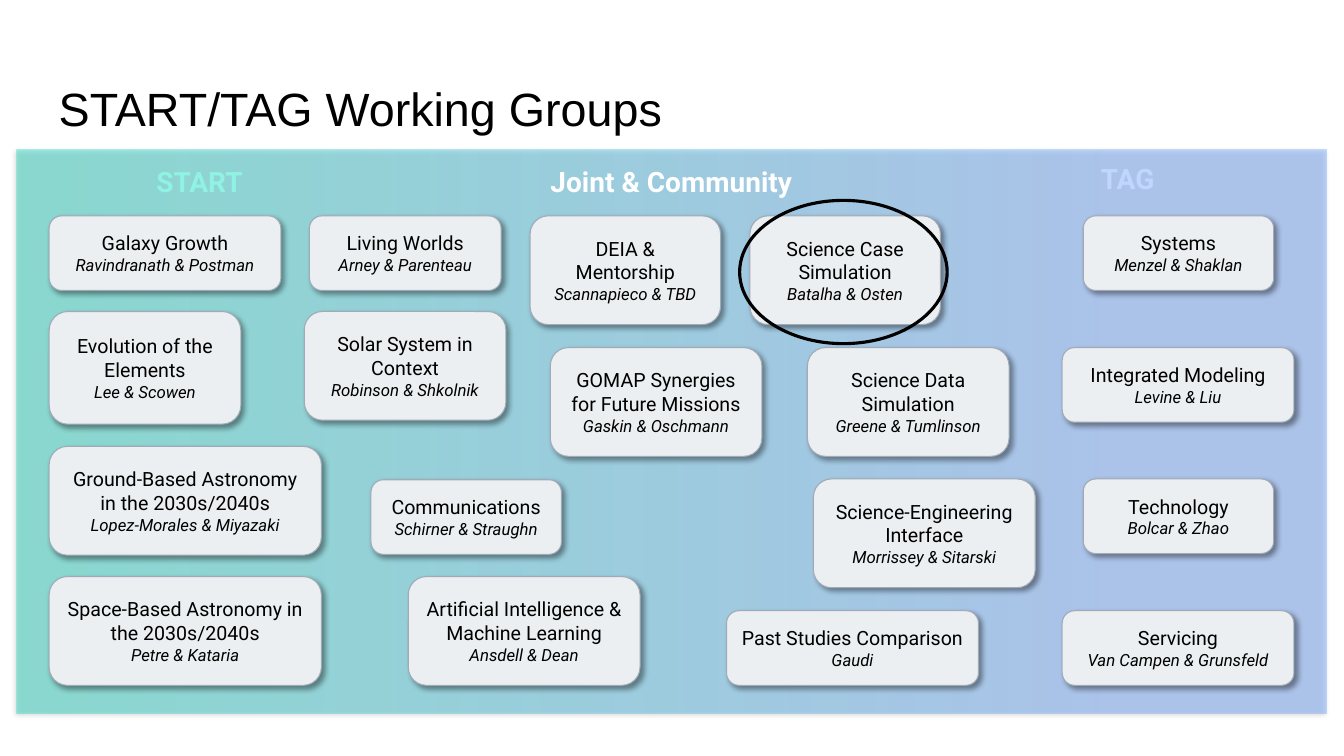
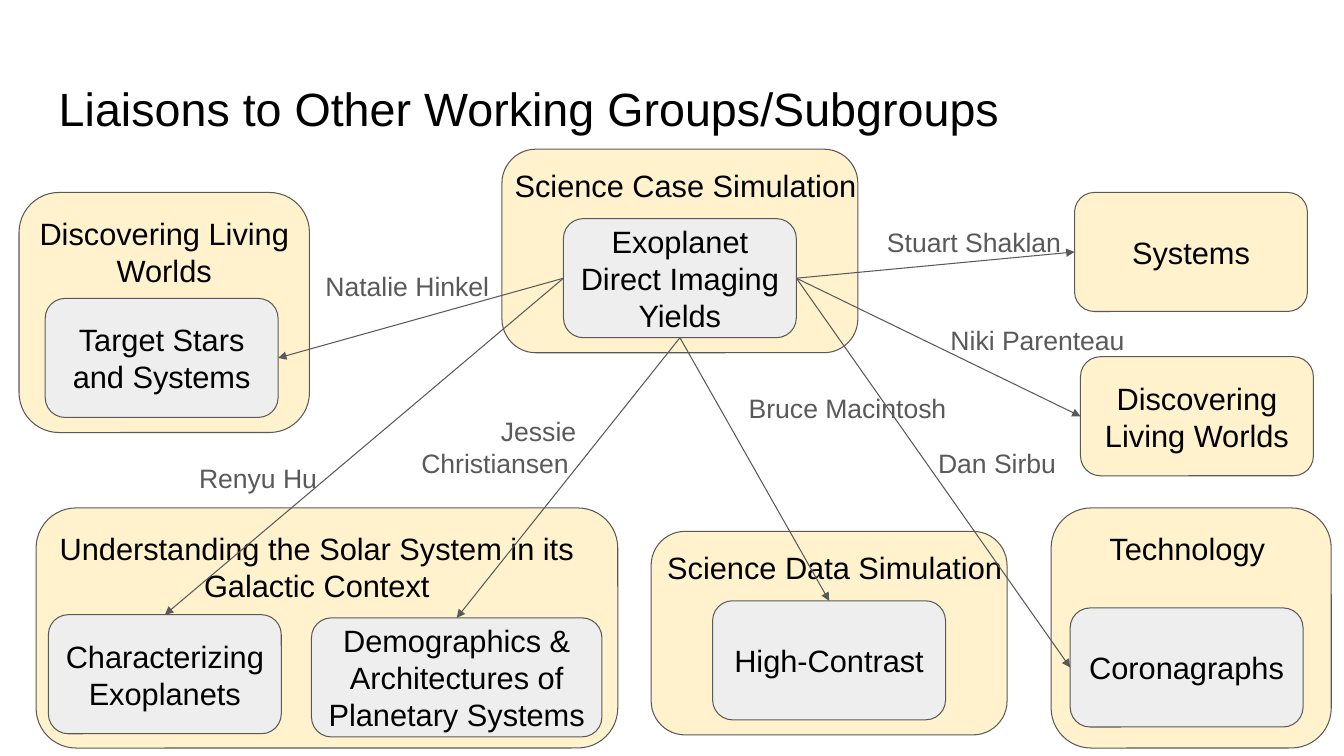
from lxml import etree
from pptx import Presentation
from pptx import util as u
from pptx.dml.color import RGBColor
from pptx.enum import shapes, text
from pptx.oxml.ns import qn

BLACK = RGBColor(0x00, 0x00, 0x00)
WHITE = RGBColor(0xFF, 0xFF, 0xFF)
TEAL = RGBColor(0x13, 0xD5, 0xBE)
BLUE = RGBColor(0x66, 0xA0, 0xFF)
PALE_TEAL = RGBColor(0x8F, 0xF2, 0xE2)
PALE_BLUE = RGBColor(0xC0, 0xD6, 0xFF)
CARD_FILL = RGBColor(0xEC, 0xEF, 0xF1)
CARD_LINE = RGBColor(0xA1, 0xAA, 0xB6)
CREAM = RGBColor(0xFF, 0xF2, 0xCC)
LIGHT_GRAY = RGBColor(0xEE, 0xEE, 0xEE)
DARK_GRAY = RGBColor(0x59, 0x59, 0x59)

LEFT, CENTER, RIGHT = text.PP_ALIGN.LEFT, text.PP_ALIGN.CENTER, text.PP_ALIGN.RIGHT
ROUNDED = shapes.MSO_SHAPE.ROUNDED_RECTANGLE
TOP_SITE, LEFT_SITE, BOTTOM_SITE, RIGHT_SITE = range(4)


def write(shape, words, size, font="Arial", color=BLACK, align=CENTER,
          bold=False, italic=False, margin=None):
    """Add one formatted paragraph to a shape."""
    frame = shape.text_frame
    frame.word_wrap = True
    if margin is not None:
        frame.margin_left = frame.margin_right = u.Cm(margin)
        frame.margin_top = frame.margin_bottom = u.Cm(margin)
    paragraph = frame.add_paragraph() if frame.text else frame.paragraphs[0]
    paragraph.alignment = align
    run = paragraph.add_run()
    run.text = words
    run.font.size, run.font.name = u.Pt(size), font
    run.font.bold, run.font.italic = bold, italic
    run.font.color.rgb = color


def add_box(slide, kind, place, fill=None, line=None, line_width=0.75, shadow=None):
    """Add a preset shape; shadow is (opacity %, blur pt, distance pt, degrees)."""
    shape = slide.shapes.add_shape(kind, *map(u.Cm, place))
    shape.shadow.inherit = False
    if fill is None:
        shape.fill.background()
    else:
        shape.fill.solid()
        shape.fill.fore_color.rgb = fill
    if line is None:
        shape.line.fill.background()
    else:
        shape.line.color.rgb = line
        shape.line.width = u.Pt(line_width)
    if shadow:
        opacity, blur, distance, degrees = shadow
        effects = shape._element.spPr.find(qn("a:effectLst"))
        outer = etree.SubElement(effects, qn("a:outerShdw"), blurRad=str(u.Pt(blur)),
                                 dist=str(u.Pt(distance)), dir=str(degrees * 60000),
                                 algn="bl", rotWithShape="0")
        tint = etree.SubElement(outer, qn("a:srgbClr"), val=str(BLACK))
        etree.SubElement(tint, qn("a:alpha"), val=str(opacity * 1000))
    return shape


presentation = Presentation()
presentation.slide_width = u.Cm(33.87)
presentation.slide_height = u.Cm(19.05)

# Slides and their titles
slides = []
for heading in ("START/TAG Working Groups", "Liaisons to Other Working Groups/Subgroups"):
    slide = presentation.slides.add_slide(presentation.slide_layouts[5])
    title = slide.shapes.title
    title.left, title.top = u.Cm(1.15), u.Cm(1.65)
    title.width, title.height = u.Cm(31.55), u.Cm(2.11)
    title.text_frame.auto_size = text.MSO_AUTO_SIZE.NONE
    title.text_frame.vertical_anchor = text.MSO_ANCHOR.BOTTOM
    write(title, heading, 33.3, align=LEFT, margin=0.33)
    slides.append(slide)
groups_slide, liaisons_slide = slides

# Gradient band behind the working groups
band = add_box(groups_slide, shapes.MSO_SHAPE.RECTANGLE, (0.41, 3.76, 33.02, 14.22),
               shadow=(35, 3.1, 1.8, 90))
band.fill.gradient()
band.fill.gradient_angle = 0
for stop, color, position in zip(band.fill.gradient_stops, (TEAL, BLUE), (0, 0.83)):
    stop.color.rgb = color
    stop.position = position
for tint in band._element.spPr.find(qn("a:gradFill")).iter(qn("a:srgbClr")):
    etree.SubElement(tint, qn("a:alpha"), val="40000")

# Column headings
for words, left, top, color in (("START", 1.6, 4.01, PALE_TEAL),
                                ("Joint & Community", 13.49, 4.01, WHITE),
                                ("TAG", 24.99, 3.94, PALE_BLUE)):
    label = groups_slide.shapes.add_textbox(u.Cm(left), u.Cm(top), u.Cm(6.86), u.Cm(1.12))
    write(label, words, 20, font="Roboto", color=color, bold=True)

# Working group cards: name, leads, left, top, width, height
ONE_LINE, TWO_LINES = 1.88, 2.74
cards = (
    ("Galaxy Growth", "Ravindranath & Postman", 1.24, 5.44, 5.84, ONE_LINE),
    ("Evolution of the Elements", "Lee & Scowen", 1.24, 7.85, 4.83, 2.84),
    ("Ground-Based Astronomy in the 2030s/2040s", "Lopez-Morales & Miyazaki",
     1.24, 11.25, 6.86, TWO_LINES),
    ("Space-Based Astronomy in the 2030s/2040s", "Petre & Kataria",
     1.24, 14.53, 6.86, TWO_LINES),
    ("Living Worlds", "Arney & Parenteau", 7.8, 5.44, 4.83, ONE_LINE),
    ("Solar System in Context", "Robinson & Shkolnik", 7.67, 7.85, 5.08, TWO_LINES),
    ("Communications", "Schirner & Straughn", 9.35, 12.09, 4.8, ONE_LINE),
    ("Artificial Intelligence & Machine Learning", "Ansdell & Dean",
     10.29, 14.53, 5.84, TWO_LINES),
    ("DEIA & Mentorship", "Scannapieco & TBD", 13.36, 5.44, 4.8, TWO_LINES),
    ("GOMAP Synergies for Future Missions", "Gaskin & Oschmann",
     13.87, 8.76, 5.33, TWO_LINES),
    ("Science Case Simulation", "Batalha & Osten", 18.9, 5.44, 4.8, TWO_LINES),
    ("Science Data Simulation", "Greene & Tumlinson", 20.35, 8.76, 5.08, TWO_LINES),
    ("Science-Engineering Interface", "Morrissey & Sitarski",
     20.5, 12.07, 5.59, TWO_LINES),
    ("Past Studies Comparison", "Gaudi", 18.31, 15.39, 6.35, ONE_LINE),
    ("Systems", "Menzel & Shaklan", 27.3, 5.44, 4.8, ONE_LINE),
    ("Integrated Modeling", "Levine & Liu", 26.77, 8.76, 5.84, ONE_LINE),
    ("Technology", "Bolcar & Zhao", 27.3, 12.07, 4.8, ONE_LINE),
    ("Servicing", "Van Campen & Grunsfeld", 26.77, 15.39, 5.84, ONE_LINE),
)
for name, leads, *place in cards:
    card = add_box(groups_slide, ROUNDED, place, CARD_FILL, CARD_LINE, shadow=(40, 4, 3, 45))
    write(card, name, 14, font="Roboto")
    write(card, leads, 12, font="Roboto", italic=True)

# Ring around Science Case Simulation
add_box(groups_slide, shapes.MSO_SHAPE.OVAL, (18.64, 5.05, 5.23, 3.61),
        line=BLACK, line_width=2.25)

# Working group frames: name, left, top, width, height, heading width, heading offset
frames = (
    ("Science Data Simulation", 16.41, 13.39, 8.97, 5.13, 9.25, 0.18),
    ("Discovering Living Worlds", 0.48, 4.85, 7.32, 6.05, 7.32, 0.3),
    ("Understanding the Solar System in its Galactic Context",
     0.91, 12.8, 14.66, 6.05, 14.15, 0.3),
    ("Technology", 26.49, 12.8, 7.06, 6.05, 6.86, 0.3),
    ("Science Case Simulation", 12.65, 3.76, 8.97, 5.13, 9.25, 0.18),
)
for name, left, top, width, height, heading_width, offset in frames:
    add_box(liaisons_slide, ROUNDED, (left, top, width, height), CREAM, DARK_GRAY)
    heading = liaisons_slide.shapes.add_textbox(
        u.Cm(left), u.Cm(top + offset), u.Cm(heading_width), u.Cm(1.45))
    write(heading, name, 22, margin=0.25)

# Subgroups and single groups: name, left, top, width, fill
boxes = {}
for name, left, top, width, fill in (
        ("Exoplanet Direct Imaging Yields", 14.2, 5.51, 5.87, LIGHT_GRAY),
        ("Target Stars and Systems", 1.14, 7.52, 5.87, LIGHT_GRAY),
        ("Characterizing Exoplanets", 1.22, 15.49, 5.87, LIGHT_GRAY),
        ("Demographics & Architectures of Planetary Systems", 7.85, 15.57, 7.32, LIGHT_GRAY),
        ("High-Contrast", 17.96, 15.14, 5.87, LIGHT_GRAY),
        ("Coronagraphs", 26.97, 15.32, 5.87, LIGHT_GRAY),
        ("Discovering Living Worlds", 27.23, 8.99, 5.87, CREAM),
        ("Systems", 27.08, 4.85, 5.87, CREAM)):
    boxes[name] = add_box(liaisons_slide, ROUNDED, (left, top, width, 3), fill, DARK_GRAY)
    write(boxes[name], name, 22, margin=0.25)

# Arrows from the yields subgroup
source = boxes["Exoplanet Direct Imaging Yields"]
for start_site, target, end_site in (
        (LEFT_SITE, "Target Stars and Systems", RIGHT_SITE),
        (LEFT_SITE, "Characterizing Exoplanets", TOP_SITE),
        (BOTTOM_SITE, "Demographics & Architectures of Planetary Systems", TOP_SITE),
        (BOTTOM_SITE, "High-Contrast", TOP_SITE),
        (RIGHT_SITE, "Coronagraphs", LEFT_SITE),
        (RIGHT_SITE, "Discovering Living Worlds", LEFT_SITE),
        (RIGHT_SITE, "Systems", LEFT_SITE)):
    arrow = liaisons_slide.shapes.add_connector(shapes.MSO_CONNECTOR.STRAIGHT, 0, 0, 0, 0)
    arrow.begin_connect(source, start_site)
    arrow.end_connect(boxes[target], end_site)
    arrow.line.color.rgb = DARK_GRAY
    arrow.line.width = u.Pt(0.75)
    etree.SubElement(arrow.line._get_or_add_ln(), qn("a:tailEnd"), type="triangle")
    etree.SubElement(arrow._element.spPr, qn("a:effectLst"))

# Names of the liaisons
for name, left, top, width, align in (
        ("Natalie Hinkel", 6.81, 6.55, 6.91, CENTER),
        ("Jessie Christiansen ", 9.27, 10.21, 5.5, RIGHT),
        ("Renyu Hu", 2.74, 11.38, 5.5, RIGHT),
        ("Bruce Macintosh", 18.62, 9.63, 5.5, LEFT),
        ("Stuart Shaklan", 21.49, 5.44, 5.5, RIGHT),
        ("Niki Parenteau", 23.09, 7.92, 5.5, RIGHT),
        ("Dan Sirbu", 23.39, 11, 5.5, LEFT)):
    label = liaisons_slide.shapes.add_textbox(u.Cm(left), u.Cm(top), u.Cm(width), u.Cm(1.32))
    write(label, name, 19, color=DARK_GRAY, align=align, margin=0.25)

presentation.save("out.pptx")
